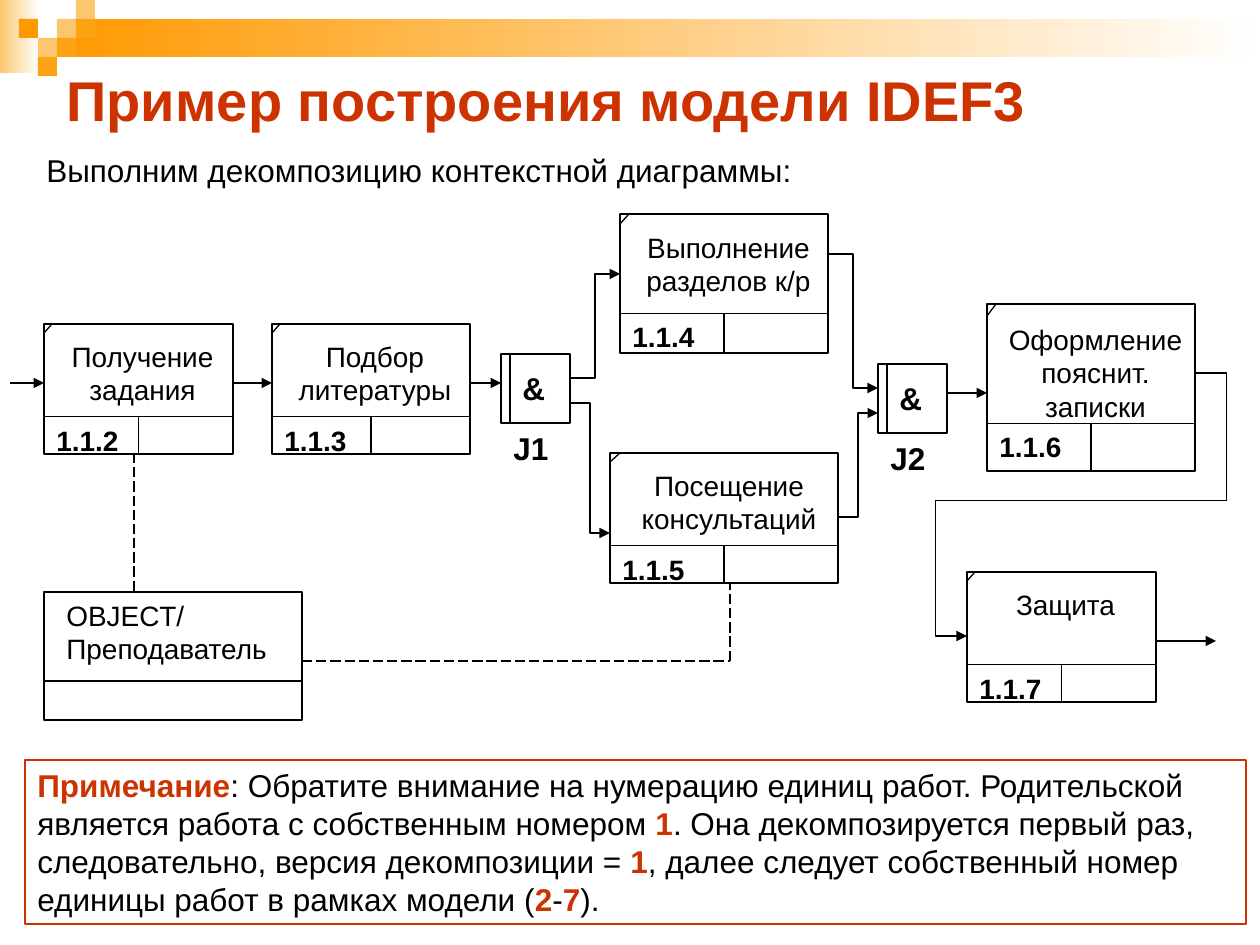
import pptx
import pptx.util
import pptx.dml.color
import pptx.enum.dml
import pptx.enum.shapes
import pptx.enum.text
import pptx.oxml
import pptx.oxml.ns

RGB = pptx.dml.color.RGBColor
BLACK = RGB(0x00, 0x00, 0x00)
WHITE = RGB(0xFF, 0xFF, 0xFF)
RED = RGB(0xCC, 0x33, 0x00)
ORANGE = RGB(0xFF, 0x99, 0x00)
AMBER = RGB(0xFB, 0xA3, 0x13)
SAND = RGB(0xFC, 0xC6, 0x6E)

ALIGN = pptx.enum.text.PP_ALIGN
LINK = pptx.enum.shapes.MSO_CONNECTOR
RECT = pptx.enum.shapes.MSO_SHAPE.RECTANGLE
PX = 914400 / 126

# Content, in px
TITLE = "Пример построения модели IDEF3"
INTRO = "Выполним декомпозицию контекстной диаграммы:"
FADES = [((0, 0, 39, 73), SAND), ((57, 19, 1203, 38), ORANGE)]
CELL = 19
TILES = [(3, 1, SAND), (4, 0, SAND), (4, 1, AMBER), (2, 2, SAND),
         (1, 1, ORANGE), (3, 2, AMBER), (2, 3, AMBER)]

# Number, name, lines of name, box
UNITS = [
    ("1.1.2", "Получение задания", 2, (44, 324, 189, 130)),
    ("1.1.3", "Подбор литературы", 2, (272, 324, 198, 130)),
    ("1.1.4", "Выполнение разделов к/р", 2, (620, 214, 208, 139)),
    ("1.1.5", "Посещение консультаций", 2, (610, 453, 228, 130)),
    ("1.1.6", "Оформление пояснит. записки", 3, (987, 304, 208, 167)),
    ("1.1.7", "Защита", 1, (967, 572, 189, 130)),
]
JOINTS = [("J1", 501, 354), ("J2", 878, 364)]
OBJECT = "OBJECT/ Преподаватель"
ARROWS = [(10, 383, 44, 383), (233, 383, 272, 383), (471, 383, 501, 383),
          (947, 393, 987, 393), (1156, 641, 1216, 641)]
ELBOWS = [(570, 378, 620, 274), (570, 403, 610, 533),
          (828, 254, 878, 388), (838, 517, 878, 413)]
LOOP = (1195, 373, 967, 636)
BENDS = [-13800, 48500, 113800]
DASHES = [(134, 453, 134, 592), (302, 661, 730, 661), (730, 661, 730, 583)]
NOTE = [
    ("Примечание", True),
    (": Обратите внимание на нумерацию единиц работ. Родительской является "
     "работа с собственным номером ", False),
    ("1", True),
    (". Она декомпозируется первый раз, следовательно, версия декомпозиции = ", False),
    ("1", True),
    (", далее следует собственный номер единицы работ в рамках модели (", False),
    ("2", True), ("-", False), ("7", True), (").", False),
]


def emu(*nums):
    return [round(n * PX) for n in nums]


def style(font, size, color=BLACK, bold=False):
    font.name = "Arial"
    font.size = pptx.util.Pt(size)
    font.bold = bold
    font.color.rgb = color


def rect(home, box, fill=None, line=None):
    shape = home.add_shape(RECT, *emu(*box))
    shape.shadow.inherit = False
    if fill is None:
        shape.fill.background()
    else:
        shape.fill.solid()
        shape.fill.fore_color.rgb = fill
    if line is None:
        shape.line.fill.background()
    else:
        shape.line.color.rgb = line
        shape.line.width = pptx.util.Pt(0.75)
    return shape


def label(home, box, text, size, bold=False, align=ALIGN.LEFT):
    frame = home.add_textbox(*emu(*box)).text_frame
    frame.word_wrap = True
    frame.text = text
    para = frame.paragraphs[0]
    para.alignment = align
    style(para.runs[0].font, size, bold=bold)


def link(home, ends, kind=LINK.STRAIGHT, arrow=False):
    line = home.add_connector(kind, *emu(*ends))
    line.line.color.rgb = BLACK
    line.line.width = pptx.util.Pt(0.75)
    props = line._element.spPr
    if arrow:
        tail = pptx.oxml.ns.qn("a:tailEnd")
        line.line._get_or_add_ln().append(props.makeelement(tail, {"type": "triangle"}))
    props.append(props.makeelement(pptx.oxml.ns.qn("a:effectLst"), {}))
    return line


def unit(home, num, name, rows, box):
    x, y, w, h = box
    dx, dy = round(w * 0.042), round(h * 0.072)
    mid, split = x + w / 2, y + h * 5 / 7
    rect(home, box, line=BLACK)
    for ends in [(x, split, x + w, split), (mid, split, mid, y + h),
                 (x + dx, y, x, y + dy)]:
        link(home, ends)
    label(home, (x, split, w / 2, 47), num, 16, True)
    label(home, (x + dx, y + dy, w - dx, 14 + 33 * rows), name, 16, align=ALIGN.CENTER)


def joint(home, name, x, y, side=69, bar=9):
    rect(home, (x, y, side, side), line=BLACK)
    link(home, (x + bar, y, x + bar, y + side))
    label(home, (x + bar, y + bar, 40, 50), "&", 18, True)
    label(home, (x, y + side, side, 50), name, 18, True)


def main():
    deck = pptx.Presentation()
    deck.slide_width, deck.slide_height = emu(1260, 945)
    slide = deck.slides.add_slide(deck.slide_layouts[5])
    shapes = slide.shapes

    # Top ornament
    for box, color in FADES:
        fill = rect(shapes, box).fill
        fill.gradient()
        fill.gradient_angle = 0
        for stop, tone in zip(fill.gradient_stops, (color, WHITE)):
            stop.color.rgb = tone
        fill.gradient_stops[0].position = 0
        fill.gradient_stops[1].position = 1
    for col, row, color in TILES:
        rect(shapes, (col * CELL, row * CELL, CELL, CELL), color)

    # Title and intro
    title = shapes.title
    title.left, title.top, title.width, title.height = emu(54, 63, 1134, 72)
    frame = title.text_frame
    frame.text = TITLE
    frame.auto_size = pptx.enum.text.MSO_AUTO_SIZE.NONE
    frame.vertical_anchor = pptx.enum.text.MSO_ANCHOR.MIDDLE
    frame.paragraphs[0].alignment = ALIGN.LEFT
    style(frame.paragraphs[0].runs[0].font, 32, RED, True)
    label(shapes, (34, 145, 1186, 50), INTRO, 18)

    # Work units and junctions
    for item in UNITS:
        unit(shapes.add_group_shape().shapes, *item)
    for item in JOINTS:
        joint(shapes.add_group_shape().shapes, *item)

    # Reference object
    group = shapes.add_group_shape().shapes
    rect(group, (44, 592, 258, 128), line=BLACK)
    link(group, (44, 681, 302, 681))
    label(group, (54, 592, 248, 81), OBJECT, 16)

    # Links
    for ends in ARROWS:
        link(shapes, ends, arrow=True)
    for ends in ELBOWS:
        link(shapes, ends, LINK.ELBOW, True)
    loop = link(shapes, LOOP, LINK.ELBOW, True)
    geom = loop._element.spPr.find(pptx.oxml.ns.qn("a:prstGeom"))
    geom.set("prst", "bentConnector5")
    guides = geom.find(pptx.oxml.ns.qn("a:avLst"))
    for i, bend in enumerate(BENDS, 1):
        guides.append(guides.makeelement(
            pptx.oxml.ns.qn("a:gd"), {"name": f"adj{i}", "fmla": f"val {bend}"}))
    for ends in DASHES:
        link(shapes, ends).line.dash_style = pptx.enum.dml.MSO_LINE.LONG_DASH

    # Note
    frame = rect(shapes, (25, 760, 1221, 164), line=RED).text_frame
    frame.word_wrap = True
    frame.vertical_anchor = pptx.enum.text.MSO_ANCHOR.TOP
    para = frame.paragraphs[0]
    para.alignment = ALIGN.LEFT
    for text, key in NOTE:
        run = para.add_run()
        run.text = text
        style(run.font, 18, RED if key else BLACK, key)

    deck.save("out.pptx")


if __name__ == "__main__":
    main()
